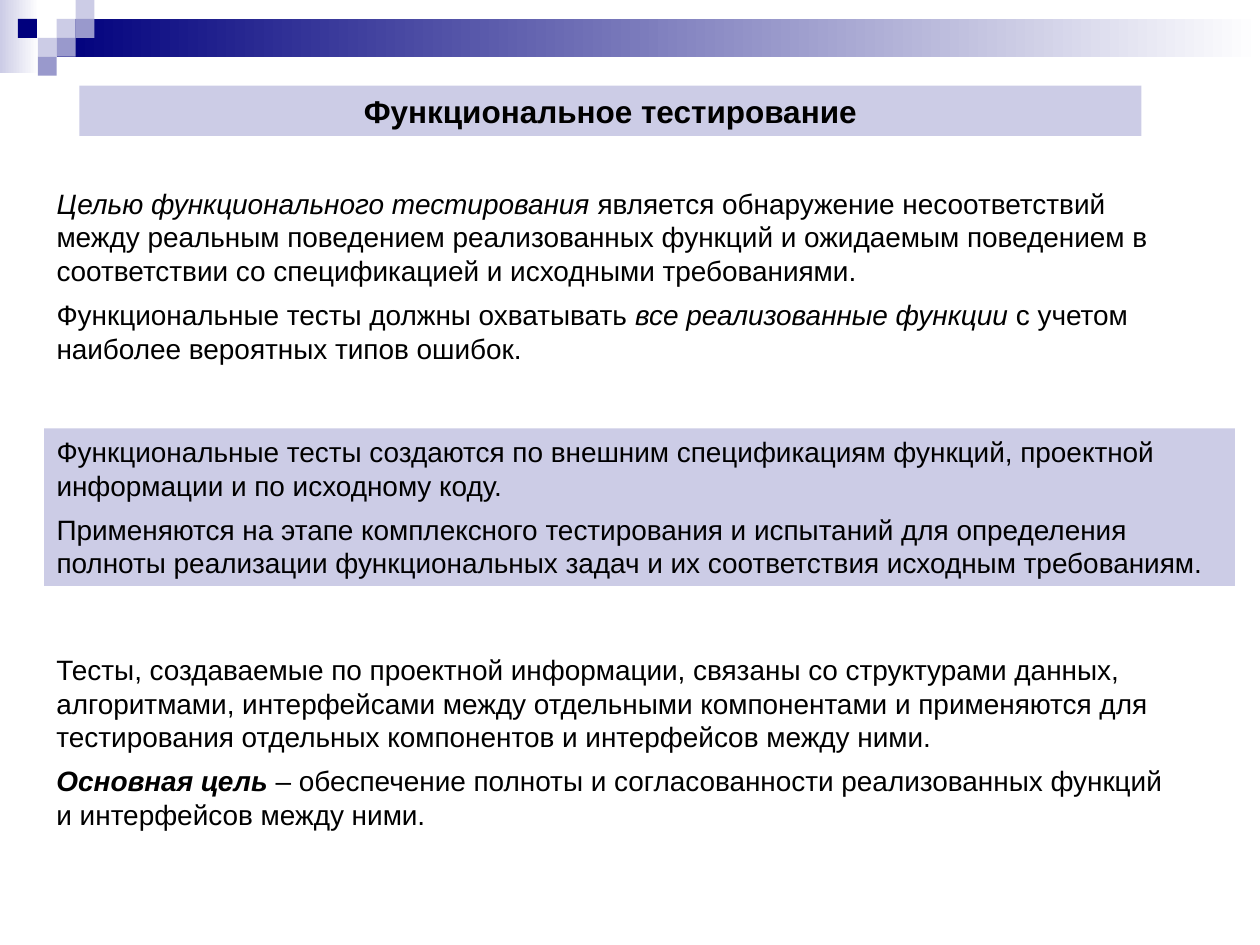
"""Build the slide about functional testing."""
from dataclasses import dataclass

from pptx import Presentation
from pptx.dml.color import RGBColor
from pptx.enum.shapes import MSO_SHAPE
from pptx.enum.text import MSO_ANCHOR, PP_ALIGN
from pptx.util import Inches, Pt

RECTANGLE = MSO_SHAPE.RECTANGLE
TOP = MSO_ANCHOR.TOP
LEFT, CENTER = PP_ALIGN.LEFT, PP_ALIGN.CENTER
BLANK_LAYOUT = 6
CELL = 0.15
TEXT_LEFT = 0.35
REGULAR, BOLD, ITALIC, BOLD_ITALIC = (
    (False, False), (True, False), (False, True), (True, True))


@dataclass(frozen=True)
class Theme:
    font: str = "Arial"
    title_size: int = 18
    body_size: int = 16
    paragraph_gap: int = 6
    navy: RGBColor = RGBColor(0x00, 0x00, 0x7D)
    violet: RGBColor = RGBColor(0x99, 0x99, 0xCC)
    lavender: RGBColor = RGBColor(0xCC, 0xCC, 0xE6)
    white: RGBColor = RGBColor(0xFF, 0xFF, 0xFF)
    text: RGBColor = RGBColor(0x00, 0x00, 0x00)


class SlideBuilder:
    def __init__(self, slide, theme):
        self.slide = slide
        self.theme = theme

    def rectangle(self, left, top, width, height):
        shape = self.slide.shapes.add_shape(
            RECTANGLE, Inches(left), Inches(top), Inches(width), Inches(height))
        shape.shadow.inherit = False
        shape.line.fill.background()
        return shape

    def block(self, left, top, width, height, color):
        shape = self.rectangle(left, top, width, height)
        shape.fill.solid()
        shape.fill.fore_color.rgb = color
        return shape

    def fading_bar(self, left, top, width, height, color):
        fill = self.rectangle(left, top, width, height).fill
        fill.gradient()
        fill.gradient_angle = 0
        for stop, stop_color in zip(fill.gradient_stops, (color, self.theme.white)):
            stop.color.rgb = stop_color

    def add_text(self, shape, paragraphs, size, alignment=LEFT, gap=0):
        frame = shape.text_frame
        frame.word_wrap = True
        frame.vertical_anchor = TOP
        for index, runs in enumerate(paragraphs):
            paragraph = frame.add_paragraph() if index else frame.paragraphs[0]
            paragraph.alignment = alignment
            paragraph.space_after = Pt(gap)
            for text, (bold, italic) in runs:
                run = paragraph.add_run()
                run.text = text
                font = run.font
                font.name, font.size = self.theme.font, Pt(size)
                font.bold, font.italic = bold, italic
                font.color.rgb = self.theme.text

    def title(self, left, top, width, height, text):
        shape = self.block(left, top, width, height, self.theme.lavender)
        self.add_text(shape, [[(text, BOLD)]], self.theme.title_size, CENTER)

    def body(self, left, top, width, height, paragraphs, color=None):
        if color is None:
            shape = self.slide.shapes.add_textbox(
                Inches(left), Inches(top), Inches(width), Inches(height))
        else:
            shape = self.block(left, top, width, height, color)
        self.add_text(shape, paragraphs, self.theme.body_size, gap=self.theme.paragraph_gap)


def main():
    presentation = Presentation()
    presentation.slide_width, presentation.slide_height = Inches(10), Inches(7.5)
    slide = presentation.slides.add_slide(presentation.slide_layouts[BLANK_LAYOUT])
    theme = Theme()
    builder = SlideBuilder(slide, theme)

    builder.fading_bar(0, 0, 0.31, 0.58, theme.lavender)
    builder.fading_bar(3 * CELL, CELL, 9.55, 2 * CELL, theme.navy)
    mosaic = [
        (3, 1, theme.lavender), (4, 0, theme.lavender), (4, 1, theme.violet),
        (2, 2, theme.lavender), (0.95, 1, theme.navy), (3, 2, theme.violet),
        (2, 3, theme.violet),
    ]
    for column, row, color in mosaic:
        builder.block(column * CELL, row * CELL, CELL, CELL, color)

    builder.title(0.63, 0.68, 8.43, 0.4, "Функциональное тестирование")
    builder.body(TEXT_LEFT, 1.43, 9.21, 1.52, [
        [("Целью функционального тестирования", ITALIC),
         (" является обнаружение несоответствий между реальным поведением "
          "реализованных функций и ожидаемым поведением в соответствии со "
          "спецификацией и исходными требованиями.", REGULAR)],
        [("Функциональные тесты должны охватывать ", REGULAR),
         ("все реализованные функции", ITALIC),
         (" с учетом наиболее вероятных типов ошибок.", REGULAR)],
    ])
    builder.body(TEXT_LEFT, 3.4, 9.45, 1.25, [
        [("Функциональные тесты создаются по внешним спецификациям функций, "
          "проектной информации и по исходному коду.", REGULAR)],
        [("Применяются на этапе комплексного тестирования и испытаний для "
          "определения полноты реализации функциональных задач и их "
          "соответствия исходным требованиям.", REGULAR)],
    ], theme.lavender)
    builder.body(TEXT_LEFT, 5.13, 9.1, 1.52, [
        [("Тесты, создаваемые по проектной информации, связаны со структурами "
          "данных, алгоритмами, интерфейсами между отдельными компонентами и "
          "применяются для тестирования отдельных компонентов и интерфейсов "
          "между ними.", REGULAR)],
        [("Основная цель", BOLD_ITALIC),
         (" – обеспечение полноты и согласованности реализованных функций и "
          "интерфейсов между ними.", REGULAR)],
    ])

    presentation.save("out.pptx")


if __name__ == "__main__":
    main()
